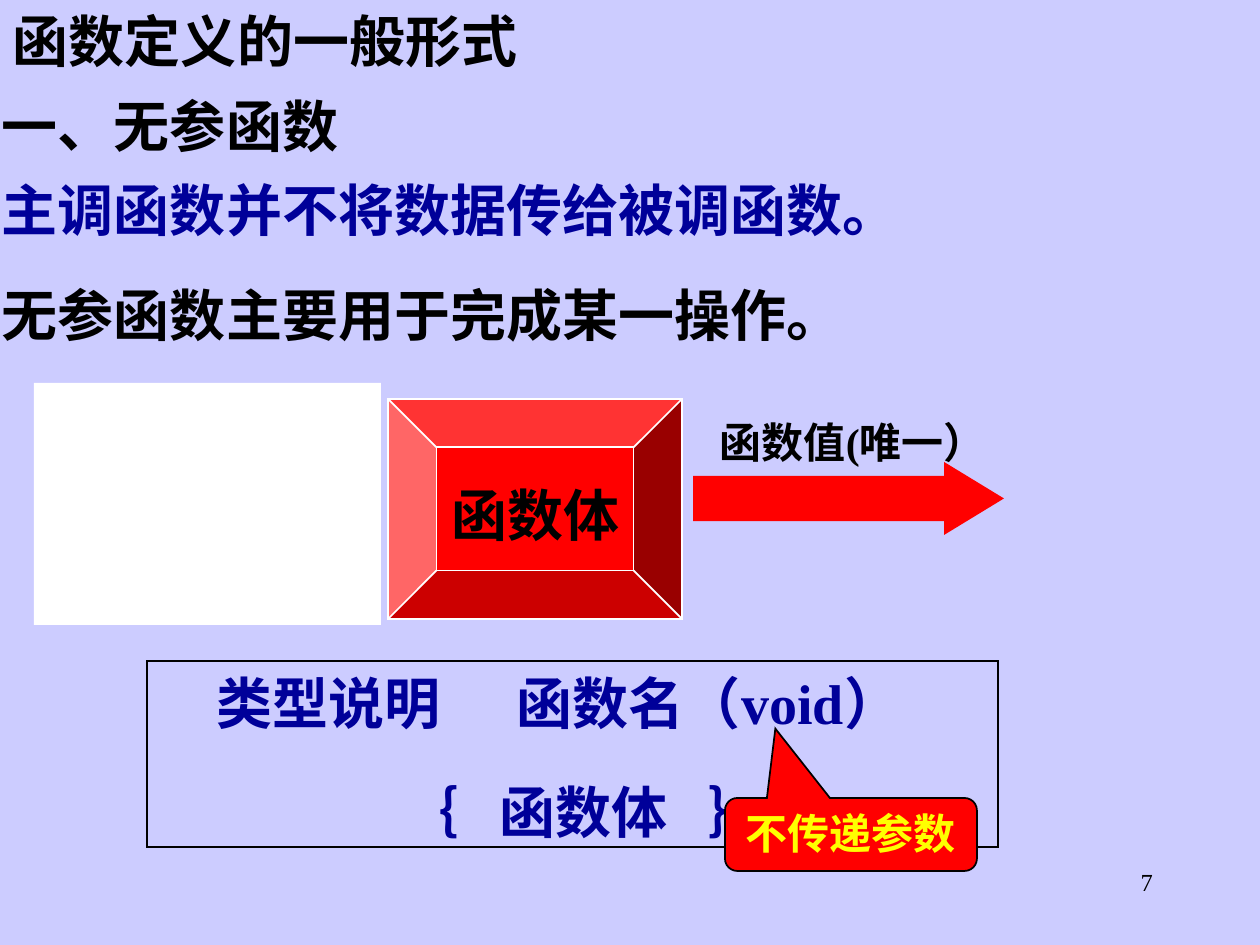
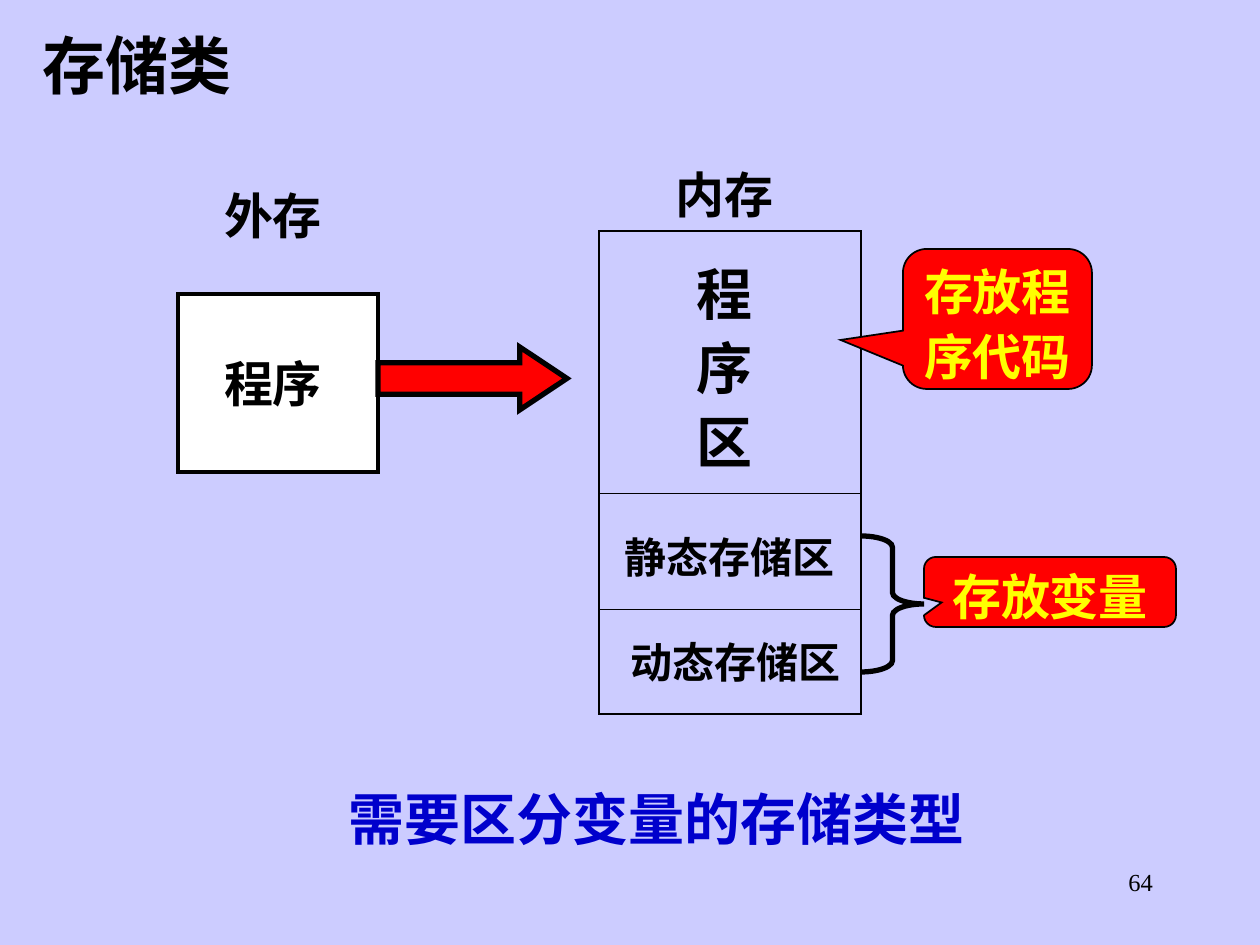
import pptx
import pptx.dml.color
import pptx.enum.lang
import pptx.enum.shapes
import pptx.enum.text
import pptx.oxml
import pptx.oxml.ns
import pptx.util
from lxml import etree

PX_PER_INCH = 126
FONT = "Times New Roman"
COLORS = {
    "background": "CCCCFF",
    "black": "000000",
    "white": "FFFFFF",
    "red": "FF0000",
    "yellow": "FFFF00",
    "navy": "000099",
    "blue": "0000CC",
}
SHAPES = pptx.enum.shapes.MSO_SHAPE
CHINESE = pptx.enum.lang.MSO_LANGUAGE_ID.SIMPLIFIED_CHINESE
LEFT = pptx.enum.text.PP_ALIGN.LEFT
CENTER = pptx.enum.text.PP_ALIGN.CENTER
RIGHT = pptx.enum.text.PP_ALIGN.RIGHT
qn = pptx.oxml.ns.qn


def px(length):
    return pptx.util.Emu(round(length * 914400 / PX_PER_INCH))


def color(name):
    return pptx.dml.color.RGBColor.from_string(COLORS[name])


# Text

def format_para(para, size, ink, align, bold, line_spacing):
    para.alignment = align
    para.line_spacing = line_spacing
    for span in para.runs:
        span.font.size = pptx.util.Pt(size)
        span.font.bold = bold
        span.font.name = FONT
        span.font.language_id = CHINESE
        span.font.color.rgb = color(ink)


def write(box, text, size, ink="black", align=CENTER, bold=True,
          line_spacing=1.1, insets=(2, 1), wrap=True):
    frame = box.text_frame
    frame.word_wrap = wrap
    frame.vertical_anchor = pptx.enum.text.MSO_ANCHOR.TOP
    frame.margin_left = frame.margin_right = px(insets[0])
    frame.margin_top = frame.margin_bottom = px(insets[1])
    frame.text = text
    for para in frame.paragraphs:
        format_para(para, size, ink, align, bold, line_spacing)


def add_label(page, area, text, size, **style):
    box = page.shapes.add_textbox(*map(px, area))
    write(box, text, size, **style)


def add_title(page, area, text, size):
    add_label(page, area, text, size, align=LEFT, line_spacing=1.0,
              insets=(12, 6), wrap=False)


def set_tabs(para, stops):
    tab_list = etree.SubElement(para._p.get_or_add_pPr(), qn("a:tabLst"))
    for position, side in stops:
        etree.SubElement(tab_list, qn("a:tab"), pos=str(px(position)), algn=side)


# Shapes

def add_figure(page, kind, area, fill=None, line=None, width=1, adjustments=()):
    figure = page.shapes.add_shape(kind, *map(px, area))
    figure.shadow.inherit = False
    if fill:
        figure.fill.solid()
        figure.fill.fore_color.rgb = color(fill)
    else:
        figure.fill.background()
    if line:
        figure.line.color.rgb = color(line)
        figure.line.width = pptx.util.Pt(width)
        outline = figure._element.spPr.find(qn("a:ln"))
        etree.SubElement(outline, qn("a:miter"), lim="800000")
    else:
        figure.line.fill.background()
    for index, value in enumerate(adjustments):
        figure.adjustments[index] = value
    return figure


def add_callout(page, area, tip, text, size, insets=(0, 0)):
    callout = add_figure(page, SHAPES.ROUNDED_RECTANGULAR_CALLOUT, area,
                         "red", "black", adjustments=(*tip, 0.17))
    write(callout, text, size, "yellow", insets=insets)


# Table

def set_border(cell, side, width):
    border = etree.SubElement(cell._tc.get_or_add_tcPr(), qn("a:" + side),
                              w=str(pptx.util.Pt(width)))
    fill = etree.SubElement(border, qn("a:solidFill"))
    etree.SubElement(fill, qn("a:srgbClr"), val=COLORS["black"])


def add_memory_table(page, left, top, width, heights):
    frame = page.shapes.add_table(len(heights), 1, px(left), px(top),
                                  px(width), px(sum(heights)))
    table = frame.table
    table.first_row = table.horz_banding = False
    last = len(heights) - 1
    for index, height in enumerate(heights):
        table.rows[index].height = px(height)
        cell = table.cell(index, 0)
        set_border(cell, "lnL", 1.08)
        set_border(cell, "lnR", 1.08)
        set_border(cell, "lnT", 1.08 if index == 0 else 0.45)
        set_border(cell, "lnB", 1.08 if index == last else 0.45)
        cell.fill.background()


# Pages

def add_page(deck, number):
    page = deck.slides.add_slide(deck.slide_layouts[6])
    page.background.fill.solid()
    page.background.fill.fore_color.rgb = color("background")
    add_label(page, (903, 861, 262, 63), number, 14, align=RIGHT, bold=False,
              line_spacing=1.0, insets=(12, 6))
    return page


def build_function_page(deck):
    page = add_page(deck, "7")
    add_title(page, (1, 0, 529, 81), "函数定义的一般形式", 32)
    for top, text, ink in ((84, "一、无参函数", "black"),
                           (168, "主调函数并不将数据传给被调函数。", "navy"),
                           (273, "无参函数主要用于完成某一操作。", "black")):
        add_label(page, (0, top, 1260, 77), text, 32, ink=ink, align=LEFT)

    # General form of the definition
    form = add_figure(page, SHAPES.RECTANGLE, (147, 661, 851, 186), line="black")
    write(form, "\t类型说明\t函数名（void）\n\t｛\t函数体\t｝", 32, "navy", LEFT)
    header, body = form.text_frame.paragraphs
    body.space_before = pptx.util.Pt(20)
    set_tabs(header, ((68, "l"), (368, "l")))
    set_tabs(body, ((310, "r"), (351, "l"), (560, "l")))
    add_callout(page, (725, 798, 252, 73), (-0.3, -1.45), "不传递参数", 24, (2, 1))

    # Function body and its value
    add_figure(page, SHAPES.RIGHT_ARROW, (693, 462, 311, 73), "red",
               adjustments=(0.62, 0.82))
    add_label(page, (718, 410, 299, 58), "函数值(唯一）", 24, align=LEFT)
    add_figure(page, SHAPES.BEVEL, (388, 399, 294, 220), "red", "white",
               adjustments=(0.22,))
    add_label(page, (431, 473, 210, 77), "函数体", 32)
    add_figure(page, SHAPES.RECTANGLE, (34, 383, 347, 242), "white")


def build_storage_page(deck):
    page = add_page(deck, "64")
    add_title(page, (31, 21, 325, 88), "存储类", 36)

    # Memory areas
    add_memory_table(page, 599, 231, 262, (262, 116, 105))
    add_label(page, (640, 158, 168, 68), "内存", 28)
    add_label(page, (693, 252, 63, 224), "程序区", 32)
    add_label(page, (620, 525, 220, 58), "静态存储区", 24)
    add_label(page, (620, 630, 231, 58), "动态存储区", 24)

    # External storage
    add_label(page, (189, 179, 168, 68), "外存", 28)
    add_figure(page, SHAPES.RECTANGLE, (178, 294, 200, 178), "white", "black", 2.25)
    add_label(page, (210, 347, 126, 68), "程序", 28)
    add_figure(page, SHAPES.RIGHT_ARROW, (378, 347, 189, 63), "red", "black", 3,
               (0.5, 0.75))

    # Contents of the areas
    add_callout(page, (903, 249, 189, 140), (-0.83, 0.15), "存放程序代码", 28)
    add_callout(page, (924, 557, 252, 70), (-0.43, 0.15), "存放变量", 28)
    add_figure(page, SHAPES.RIGHT_BRACE, (861, 536, 63, 136), line="black", width=3,
               adjustments=(0.18, 0.5))
    add_label(page, (116, 777, 1081, 77), "需要区分变量的存储类型", 32, ink="blue")


def main():
    deck = pptx.Presentation()
    deck.slide_width, deck.slide_height = px(1260), px(945)
    build_function_page(deck)
    build_storage_page(deck)
    deck.save("out.pptx")


if __name__ == "__main__":
    main()
